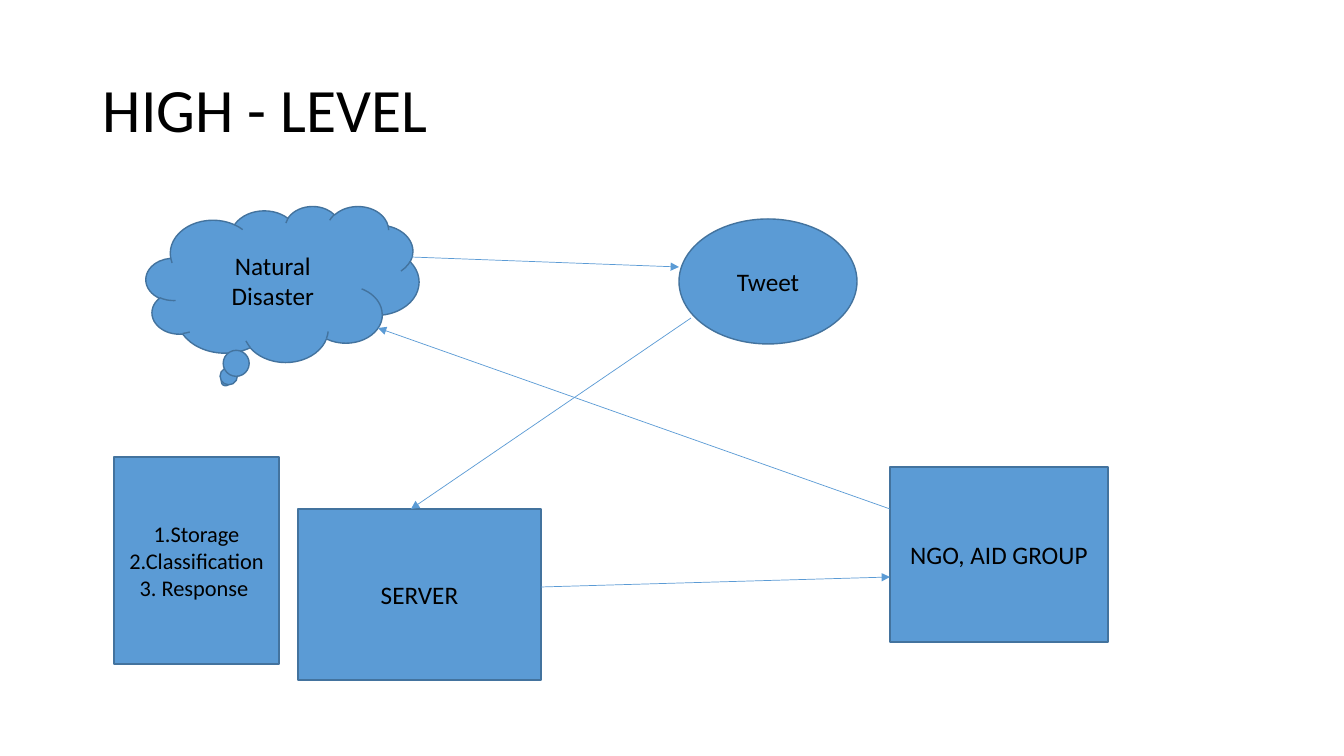
from lxml import etree
from pptx import Presentation
from pptx import util as u
from pptx.dml.color import RGBColor
from pptx.enum import shapes, text
from pptx.oxml.ns import qn

PX = 914400 / 100.8
BLUE = RGBColor(0x5B, 0x9B, 0xD5)
OUTLINE = RGBColor(0x43, 0x73, 0x9E)
BLACK = RGBColor(0, 0, 0)
SHAPE = shapes.MSO_SHAPE

NODES = [
    (SHAPE.CLOUD_CALLOUT, (32, 0, 273, 156), "Natural Disaster", 18),
    (SHAPE.OVAL, (565, 13, 178, 125), "Tweet", 18),
    (SHAPE.RECTANGLE, (184, 303, 243, 171), "SERVER", 18),
    (SHAPE.RECTANGLE, (776, 261, 218, 175), "NGO, AID GROUP", 18),
    (SHAPE.RECTANGLE, (0, 251, 165, 207),
     "1.Storage\n2.Classification\n3. Response ", 16),
]
ARROWS = [
    ((296, 51), (565, 61)),
    ((577, 112), (297, 303)),
    ((427, 381), (776, 371)),
    ((776, 303), (264, 122)),
]


def px(*lengths):
    return [u.Emu(round(n * PX)) for n in lengths]


def write(sp, words, size, align):
    tf = sp.text_frame
    tf.word_wrap = True
    tf.vertical_anchor = text.MSO_ANCHOR.MIDDLE
    tf.text = words
    for p in tf.paragraphs:
        p.alignment = align
        for r in p.runs:
            r.font.size = u.Pt(size)
            r.font.name = "Calibri"
            r.font.color.rgb = BLACK


def add_title(s, box, words):
    sp = s.shapes.add_textbox(*px(*box))
    write(sp, words, 44, text.PP_ALIGN.LEFT)
    sp.text_frame.paragraphs[0].line_spacing = 0.9


def add_node(s, kind, box, words, size):
    sp = s.shapes.add_shape(kind, *px(*box))
    sp.shadow.inherit = False
    sp.fill.solid()
    sp.fill.fore_color.rgb = BLUE
    sp.line.color.rgb = OUTLINE
    sp.line.width = u.Pt(1)
    write(sp, words, size, text.PP_ALIGN.CENTER)


def add_arrow(s, start, end):
    line = s.shapes.add_connector(shapes.MSO_CONNECTOR.STRAIGHT, *px(*start, *end))
    line.line.color.rgb = BLUE
    line.line.width = u.Pt(0.5)
    ln = line.line._get_or_add_ln()
    etree.SubElement(ln, qn("a:tailEnd"), type="triangle")
    etree.SubElement(ln.getparent(), qn("a:effectLst"))


def add_diagram(s, left, top):
    for kind, (x, y, w, h), words, size in NODES:
        add_node(s, kind, (left + x, top + y, w, h), words, size)
    for (x1, y1), (x2, y2) in ARROWS:
        add_arrow(s, (left + x1, top + y1), (left + x2, top + y2))


prs = Presentation()
prs.slide_width, prs.slide_height = px(1344, 756)
s = prs.slides.add_slide(prs.slide_layouts[6])
add_title(s, (93, 40, 1159, 146), "HIGH - LEVEL")
add_diagram(s, 114, 206)
prs.save("out.pptx")
